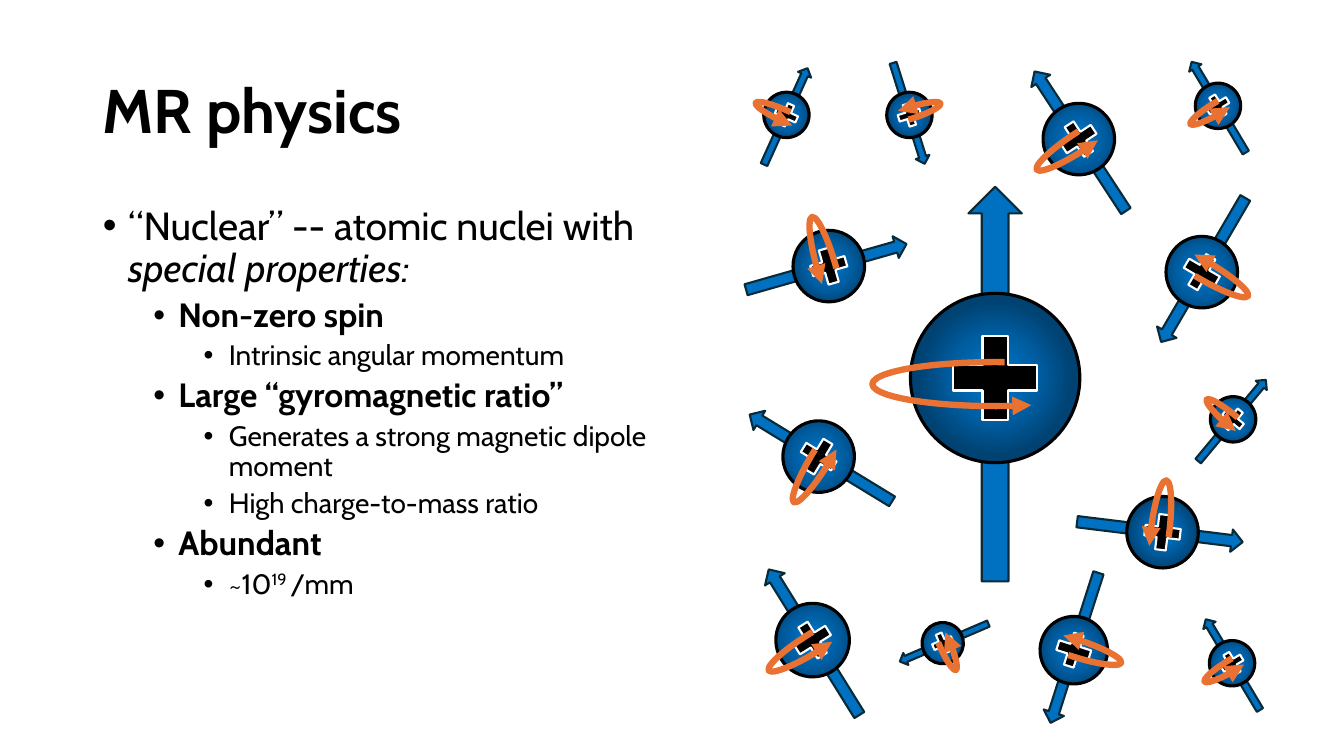
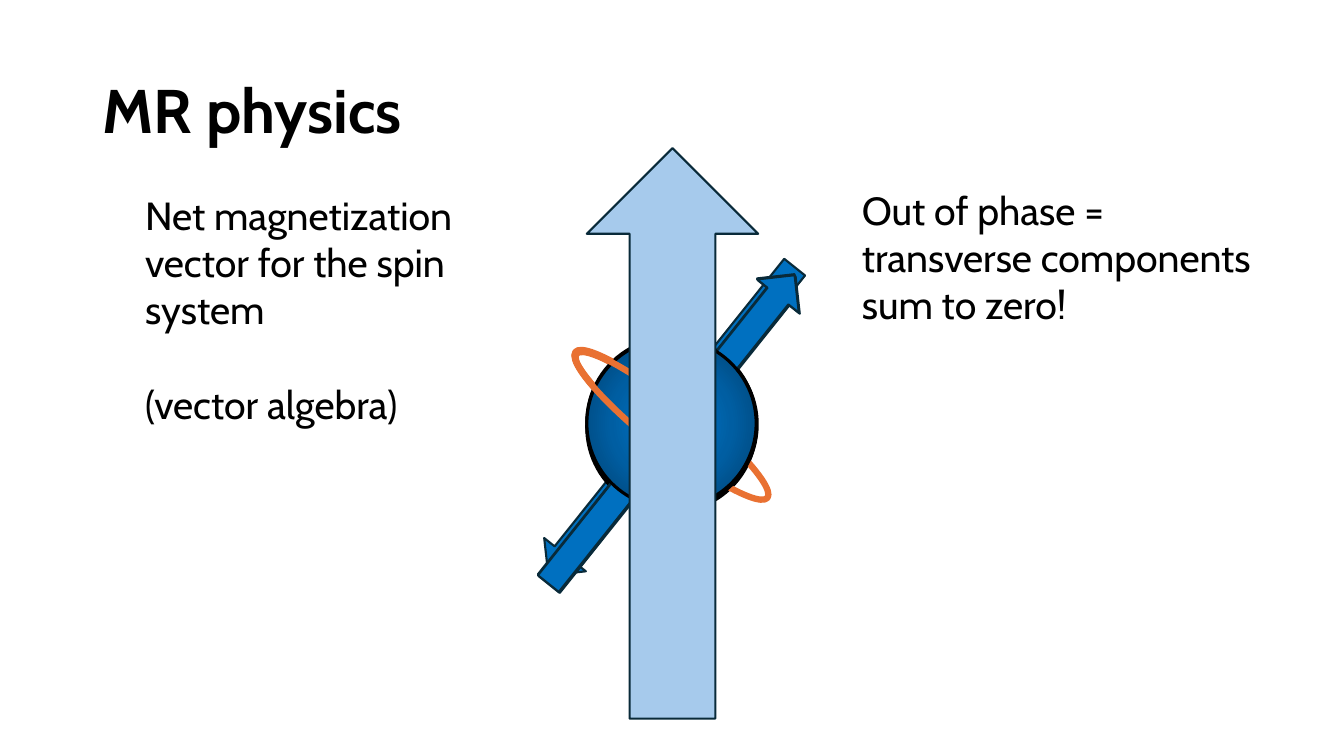
"""Build two slides on MR physics: spinning nuclei and their net magnetization."""
from math import cos, radians, sin

from lxml import etree
from pptx import Presentation
from pptx.dml.color import RGBColor
from pptx.enum.shapes import MSO_SHAPE
from pptx.enum.text import MSO_ANCHOR, MSO_AUTO_SIZE, PP_ALIGN
from pptx.oxml import parse_xml
from pptx.oxml.ns import nsdecls, qn
from pptx.util import Pt

PX = 9144
FONT = "Cabin"
BLACK, WHITE = "000000", "FFFFFF"
BLUE, NAVY, PALE, ORANGE = "0070C0", "092A39", "A6CAEC", "E97132"
SPHERE = [(13, BLUE), (36, "005EA2"), (65, "004272")]
ARROW, BALL, PLUS, ARC = (MSO_SHAPE.DOWN_ARROW, MSO_SHAPE.OVAL,
                          MSO_SHAPE.CROSS, MSO_SHAPE.ARC)
LEFT, MIDDLE, TOP = PP_ALIGN.LEFT, MSO_ANCHOR.MIDDLE, MSO_ANCHOR.TOP
FIXED, GROW = MSO_AUTO_SIZE.NONE, MSO_AUTO_SIZE.SHAPE_TO_FIT_TEXT
rgb = RGBColor.from_string


def draw(shapes, kind, cx, cy, w, h, fill, line, weight, angle=0, flip=False):
    """Add a preset shape centred on a point."""
    box = [round(v * PX) for v in (cx - w / 2, cy - h / 2, w, h)]
    sp = shapes.add_shape(kind, *box)
    sp.shadow.inherit = False
    sp.rotation = angle % 360
    if flip:
        sp.element.spPr.get_or_add_xfrm().set("flipV", "1")
    if fill:
        sp.fill.solid()
        sp.fill.fore_color.rgb = rgb(fill)
    else:
        sp.fill.background()
    sp.line.color.rgb = rgb(line)
    sp.line.width = Pt(weight)
    return sp


def spin(slide, cx, cy, size, angle, lean=None):
    """Add a charged nucleus with its moment arrow and rotation ring."""
    grp = slide.shapes.add_group_shape().shapes
    tilt = radians(angle if lean is None else lean)
    shift = size * 0.036
    ax, ay = cx - shift * sin(tilt), cy + shift * cos(tilt)
    draw(grp, ARROW, ax, ay, size * 0.315, size * 2.33, BLUE, NAVY, 1.5, angle, True)

    ball = draw(grp, BALL, cx, cy, size, size, None, BLACK, 2.25, angle)
    stops = "".join(f'<a:gs pos="{pos * 1000}"><a:srgbClr val="{c}"/></a:gs>'
                    for pos, c in SPHERE)
    grad = parse_xml(
        f'<a:gradFill {nsdecls("a")} rotWithShape="1"><a:gsLst>{stops}</a:gsLst>'
        '<a:path path="circle"><a:fillToRect l="50000" t="50000" r="50000" b="50000"/>'
        '</a:path></a:gradFill>')
    spPr = ball.element.spPr
    spPr.replace(spPr.find(qn("a:noFill")), grad)

    plus = draw(grp, PLUS, cx, cy, size * 0.495, size * 0.495, BLACK, WHITE, 1.5, angle)
    plus.adjustments[0] = 0.35

    ring = draw(grp, ARC, ax, ay, size * 0.26, size * 1.45, None, ORANGE, 4.5,
                angle + 90, True)
    ring.adjustments[0], ring.adjustments[1] = 93.93, 35.9
    ln = ring.element.spPr.find(qn("a:ln"))
    etree.SubElement(ln, qn("a:tailEnd")).set("type", "triangle")


prs = Presentation()
prs.slide_width, prs.slide_height = 1333 * PX, 750 * PX
nuclei, net = [prs.slides.add_slide(prs.slide_layouts[i]) for i in (1, 5)]

for slide in (nuclei, net):
    title = slide.shapes.title
    title.left, title.top, title.width, title.height = [
        v * PX for v in (92, 40, 1150, 145)]
    tf = title.text_frame
    tf.text = "MR physics"
    tf.auto_size, tf.vertical_anchor = FIXED, MIDDLE
    p = tf.paragraphs[0]
    p.alignment, p.line_spacing = LEFT, 0.9
    p.runs[0].font.size, p.runs[0].font.bold = Pt(44), True

BULLETS = [
    (0, [("“Nuclear” -- atomic nuclei with ", ""), ("special properties:", "italic")]),
    (1, [("Non-zero spin", "")]),
    (2, [("Intrinsic angular momentum", "")]),
    (1, [("Large “gyromagnetic ratio”", "")]),
    (2, [("Generates a strong magnetic dipole moment", "")]),
    (2, [("High charge-to-mass ratio", "")]),
    (1, [("Abundant", "")]),
    (2, [("~10", ""), ("19 ", "super"), ("/mm", "")]),
]
body = nuclei.placeholders[1]
body.left, body.top, body.width, body.height = [v * PX for v in (92, 200, 605, 476)]
tf = body.text_frame
tf.auto_size, tf.vertical_anchor = FIXED, TOP
for i, (level, runs) in enumerate(BULLETS):
    p = tf.add_paragraph() if i else tf.paragraphs[0]
    p.level = level
    pPr = p._p.get_or_add_pPr()
    pPr.set("marL", str((25 + 50 * level) * PX))
    pPr.set("indent", str(-25 * PX))
    etree.SubElement(pPr, qn("a:buFont")).set("typeface", "Arial")
    etree.SubElement(pPr, qn("a:buChar")).set("char", "•")
    p.alignment, p.line_spacing = LEFT, 0.9
    p.space_before = Pt(5 if i else 0)
    for text, style in runs:
        r = p.add_run()
        r.text = text
        r.font.size = Pt(28 - 4 * level)
        r.font.bold = level == 1
        r.font.italic = style == "italic"
        if style == "super":
            r.font._element.set("baseline", "30000")

SPINS = [
    (987, 375, 168, 0), (812, 453, 71, 301.4), (822, 264, 71, 74.1),
    (1070, 138, 71, 326.8), (1192, 270, 71, 210.3), (1153, 528, 71, 97),
    (1223, 416, 45, 39.8), (902, 114, 45, 162.6), (1065, 645, 67, 197.7),
    (935, 638, 41, 246.8), (780, 114, 45, 24.3), (1222, 658, 45, 329.2),
    (1208, 105, 45, 329.2), (806, 635, 73, 328.1),
]
for cx, cy, size, angle in SPINS:
    spin(nuclei, cx, cy, size, angle)

spin(net, 666, 424, 168, 218.6, 180)
for cx, cy in ((667, 421), (666, 419), (666, 420)):
    spin(net, cx, cy, 168, 38.6, 0)
draw(net.shapes, ARROW, 667, 430, 170, 566, PALE, NAVY, 1.5, flip=True)

NOTES = [
    ((134, 185, 329, 246),
     ["Net magnetization vector for the spin system", "(vector algebra)"]),
    ((845, 180, 420, 151), ["Out of phase = transverse components sum to zero!"]),
]
for box, lines in NOTES:
    tf = net.shapes.add_textbox(*[v * PX for v in box]).text_frame
    tf.word_wrap, tf.auto_size = True, GROW
    tf.text = "\n".join(lines)
    for i, p in enumerate(tf.paragraphs):
        p.space_before = Pt(34 * i)
        p.runs[0].font.size = Pt(28)

for slide in (nuclei, net):
    for sp in slide.shapes:
        if sp.has_text_frame:
            for p in sp.text_frame.paragraphs:
                for r in p.runs:
                    r.font.name = FONT
                    r.font.color.rgb = rgb(BLACK)

prs.save("out.pptx")
